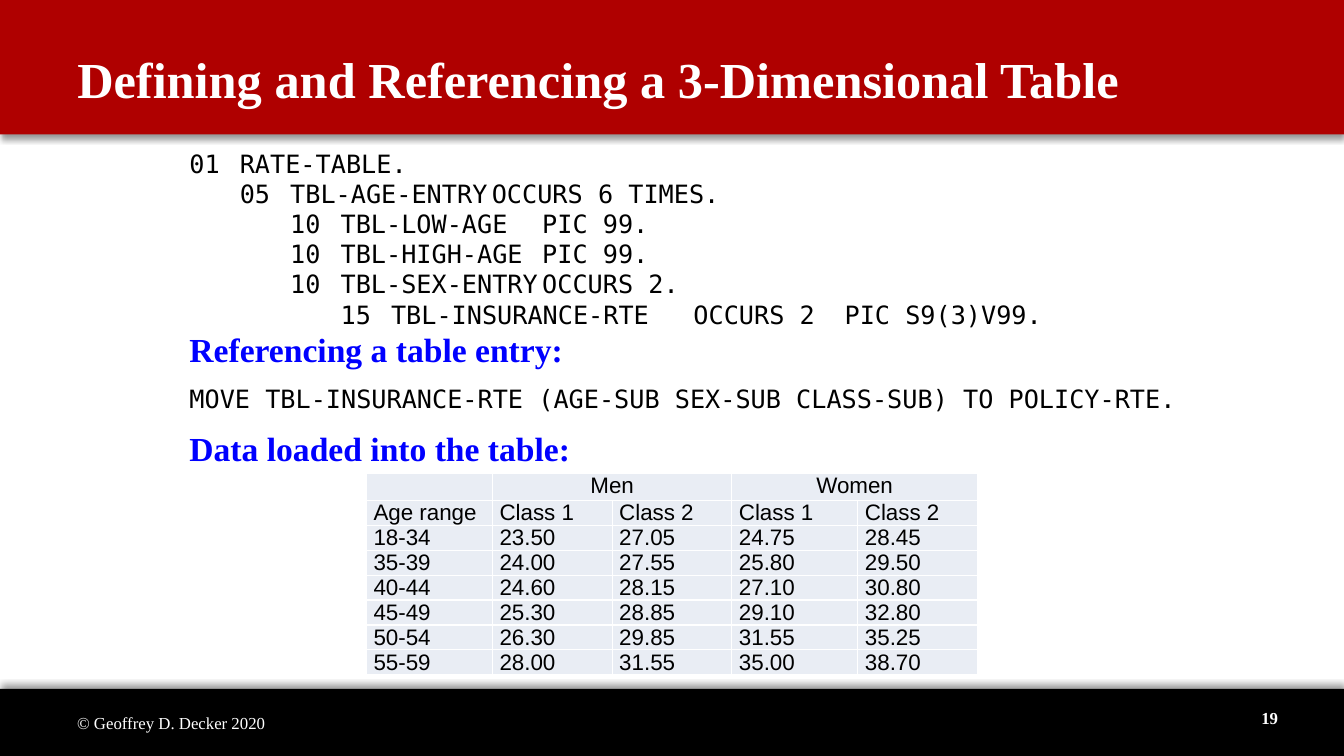
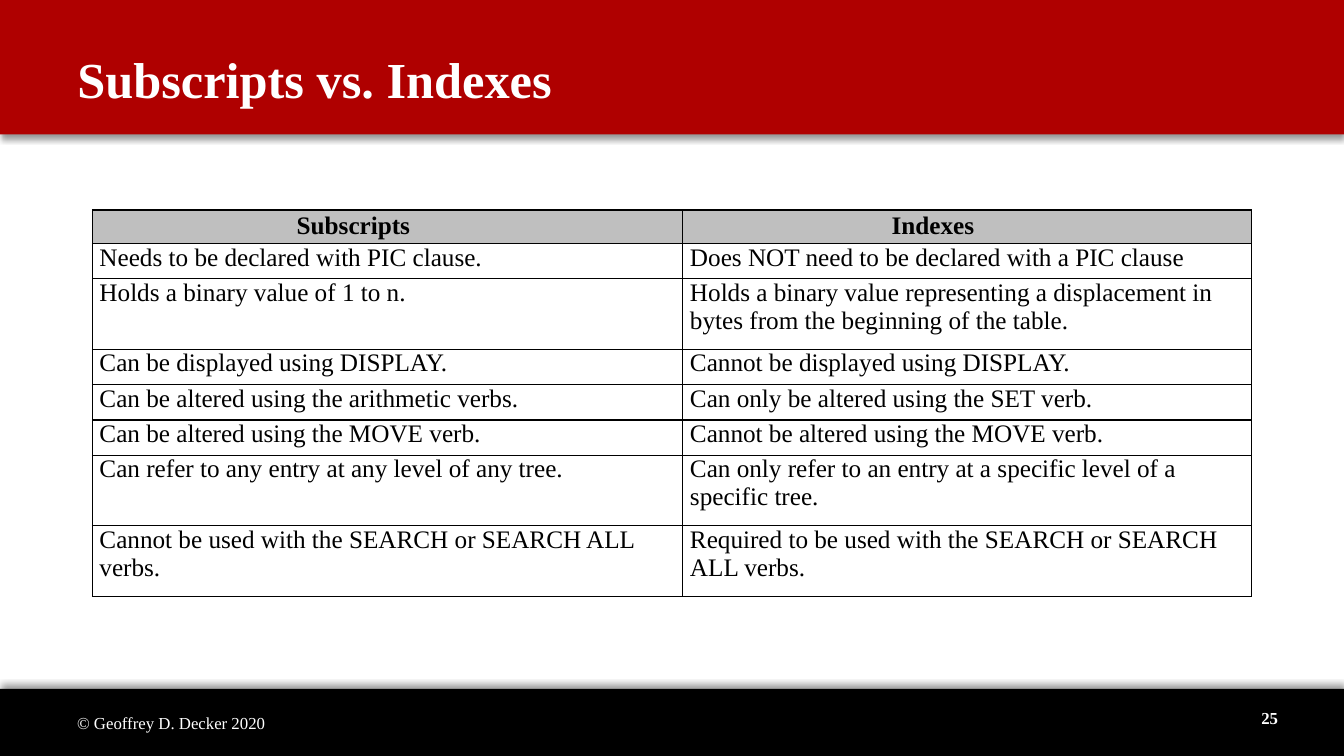
from dataclasses import dataclass

from lxml import etree
from pptx import Presentation
from pptx import util as u
from pptx.dml.color import RGBColor
from pptx.enum import shapes, text
from pptx.oxml.ns import qn

COLUMNS, ROWS = 160, 90
CELL = u.Inches(1 / 12)
TITLE_AND_BODY, TITLE_ONLY = 1, 5
LEFT, CENTER, RIGHT = text.PP_ALIGN.LEFT, text.PP_ALIGN.CENTER, text.PP_ALIGN.RIGHT


@dataclass(frozen=True)
class TextStyle:
    font: str
    size: int
    color: str
    bold: bool = False
    align: int = LEFT


@dataclass(frozen=True)
class Theme:
    red: str = "AF0000"
    black: str = "000000"
    white: str = "FFFFFF"
    pale: str = "E9EDF4"
    gray: str = "BFBFBF"
    title: TextStyle = TextStyle("Times New Roman", 36, "FFFFFF", True)
    heading: TextStyle = TextStyle("Times New Roman", 24, "0000FF", True)
    code: TextStyle = TextStyle("DejaVu Sans Mono", 18, "000000")
    footer: TextStyle = TextStyle("Times New Roman", 12, "FFFFFF")
    number: TextStyle = TextStyle("Times New Roman", 12, "FFFFFF", True, RIGHT)
    rate: TextStyle = TextStyle("Arial", 16, "000000")
    rate_group: TextStyle = TextStyle("Arial", 16, "000000", False, CENTER)
    fact: TextStyle = TextStyle("Times New Roman", 18, "000000")
    fact_header: TextStyle = TextStyle("Times New Roman", 18, "000000", True, CENTER)


THEME = Theme()


def grid(*lengths):
    return [u.Emu(round(length * CELL)) for length in lengths]


def place(shape, *box):
    shape.left, shape.top, shape.width, shape.height = grid(*box)


def format_paragraph(paragraph, style):
    paragraph.alignment = style.align
    for run in paragraph.runs:
        run.font.name = style.font
        run.font.size = u.Pt(style.size)
        run.font.bold = style.bold
        run.font.color.rgb = RGBColor.from_string(style.color)
    if not paragraph.runs:
        etree.SubElement(paragraph._p, qn("a:endParaRPr"), sz=str(style.size * 100))


def prepare_frame(frame, anchor):
    frame.word_wrap = True
    frame.auto_size = text.MSO_AUTO_SIZE.NONE
    frame.vertical_anchor = anchor


def remove_bullet(paragraph):
    properties = paragraph._p.get_or_add_pPr()
    properties.set("marL", "0")
    properties.set("indent", "0")
    etree.SubElement(properties, qn("a:buNone"))


def set_tab_stops(paragraph, style, characters):
    advance = u.Pt(style.size * 0.602)
    tab_list = etree.SubElement(paragraph._p.get_or_add_pPr(), qn("a:tabLst"))
    for position in characters:
        etree.SubElement(tab_list, qn("a:tab"), pos=str(position * advance), algn="l")


def set_borders(cell, color):
    properties = cell._tc.get_or_add_tcPr()
    for index, side in enumerate(("lnL", "lnR", "lnT", "lnB")):
        line = etree.Element(qn("a:" + side), w=str(u.Pt(1)))
        fill = etree.SubElement(line, qn("a:solidFill"))
        etree.SubElement(fill, qn("a:srgbClr"), val=color)
        properties.insert(index, line)


class Deck:
    def __init__(self, theme):
        self.theme = theme
        self.presentation = Presentation()
        self.presentation.slide_width, self.presentation.slide_height = grid(COLUMNS, ROWS)
        self.slide = None

    def start_slide(self, layout, title, number):
        layouts = self.presentation.slide_layouts
        self.slide = self.presentation.slides.add_slide(layouts[layout])
        if len(self.presentation.slides) == 1:
            self.master_band(0, 16, self.theme.red, 90)
            self.master_band(82, 8, self.theme.black, 270)
        shape = self.slide.shapes.title
        place(shape, 8, 5.1, 135, 8.5)
        shape.text_frame.text = title
        prepare_frame(shape.text_frame, text.MSO_ANCHOR.TOP)
        format_paragraph(shape.text_frame.paragraphs[0], self.theme.title)
        self.label(str(number), self.theme.number, 129.35, 83, 24, 4.8)
        self.label("© Geoffrey D. Decker 2020", self.theme.footer, 8, 83.65, 50.6, 4.8)

    def master_band(self, top, height, color, direction):
        box = grid(0, top, COLUMNS, height)
        band = self.slide.shapes.add_shape(shapes.MSO_SHAPE.RECTANGLE, *box)
        band.fill.solid()
        band.fill.fore_color.rgb = RGBColor.from_string(color)
        band.line.fill.background()
        band.shadow.inherit = False
        shadow = etree.SubElement(
            band.element.spPr.find(qn("a:effectLst")), qn("a:outerShdw"),
            blurRad=str(u.Pt(4)), dist=str(u.Pt(3)), dir=str(direction * 60000),
            algn="t", rotWithShape="0")
        shade = etree.SubElement(shadow, qn("a:srgbClr"), val=self.theme.black)
        etree.SubElement(shade, qn("a:alpha"), val="40000")
        band.element.nvSpPr.cNvPr.set("id", str(100 + top))
        self.presentation.slide_master.shapes.element.insert(2, band.element)

    def label(self, words, style, *box):
        shape = self.slide.shapes.add_textbox(*grid(*box))
        shape.text_frame.text = words
        prepare_frame(shape.text_frame, text.MSO_ANCHOR.MIDDLE)
        format_paragraph(shape.text_frame.paragraphs[0], style)

    def body(self, lines, *box):
        shape = self.slide.placeholders[1]
        place(shape, *box)
        frame = shape.text_frame
        prepare_frame(frame, text.MSO_ANCHOR.TOP)
        frame.text = "\n".join(words for words, style, gap, stops in lines)
        for paragraph, (words, style, gap, stops) in zip(frame.paragraphs, lines):
            remove_bullet(paragraph)
            paragraph.space_before = u.Pt(gap)
            if stops:
                set_tab_stops(paragraph, style, stops)
            format_paragraph(paragraph, style)

    def table(self, rows, top, widths, heights, border):
        left = (COLUMNS - sum(widths)) / 2
        box = grid(left, top, sum(widths), sum(heights))
        table = self.slide.shapes.add_table(len(rows), len(widths), *box).table
        table.first_row = table.horz_banding = False
        for column, width in zip(table.columns, grid(*widths)):
            column.width = width
        for row, height in zip(table.rows, grid(*heights)):
            row.height = height
        for row, (values, style, fill) in zip(table.rows, rows):
            for cell, value in zip(row.cells, values):
                cell.text_frame.text = value
                cell.margin_left, cell.margin_right = grid(0.85, 0.85)
                cell.margin_top = cell.margin_bottom = 0
                cell.fill.solid()
                cell.fill.fore_color.rgb = RGBColor.from_string(fill)
                set_borders(cell, border)
                format_paragraph(cell.text_frame.paragraphs[0], style)
        return table


def code_line(level, number, *fields):
    stops = [4 * step for step in range(1, level + 2)] + [40, 50]
    return "\t" * level + "\t".join((number, *fields)), THEME.code, 0, stops


def build_rate_slide(deck):
    deck.start_slide(TITLE_AND_BODY, "Defining and Referencing a 3-Dimensional Table", 19)
    deck.body([
        code_line(0, "01", "RATE-TABLE."),
        code_line(1, "05", "TBL-AGE-ENTRY", "OCCURS 6 TIMES."),
        code_line(2, "10", "TBL-LOW-AGE", "PIC 99."),
        code_line(2, "10", "TBL-HIGH-AGE", "PIC 99."),
        code_line(2, "10", "TBL-SEX-ENTRY", "OCCURS 2."),
        code_line(3, "15", "TBL-INSURANCE-RTE", "OCCURS 2", "PIC S9(3)V99."),
        ("Referencing a table entry:", THEME.heading, 0, None),
        ("MOVE TBL-INSURANCE-RTE (AGE-SUB SEX-SUB CLASS-SUB) TO POLICY-RTE.",
         THEME.code, 10, None),
        ("Data loaded into the table:", THEME.heading, 10, None),
    ], 21.35, 17, 120, 46.8)
    rates = [
        ("Age range", "Class 1", "Class 2", "Class 1", "Class 2"),
        ("18-34", "23.50", "27.05", "24.75", "28.45"),
        ("35-39", "24.00", "27.55", "25.80", "29.50"),
        ("40-44", "24.60", "28.15", "27.10", "30.80"),
        ("45-49", "25.30", "28.85", "29.10", "32.80"),
        ("50-54", "26.30", "29.85", "31.55", "35.25"),
        ("55-59", "28.00", "31.55", "35.00", "38.70"),
    ]
    rows = [(("", "Men", "", "Women", ""), THEME.rate_group, THEME.pale)]
    rows += [(values, THEME.rate, THEME.pale) for values in rates]
    table = deck.table(rows, 56.3, [15, 14.25, 14.25, 15, 14.25], [2.95] * len(rows),
                       THEME.white)
    for first in (1, 3):
        table.cell(0, first).merge(table.cell(0, first + 1))


def build_comparison_slide(deck):
    deck.start_slide(TITLE_ONLY, "Subscripts vs. Indexes", 25)
    single, double = 4.2, 8.4
    facts = [
        (single, "Needs to be declared with PIC clause.",
         "Does NOT need to be declared with a PIC clause"),
        (double, "Holds a binary value of 1 to n.",
         "Holds a binary value representing a displacement in bytes from the "
         "beginning of the table."),
        (single, "Can be displayed using DISPLAY.", "Cannot be displayed using DISPLAY."),
        (single, "Can be altered using the arithmetic verbs.",
         "Can only be altered using the SET verb."),
        (single, "Can be altered using the MOVE verb.",
         "Cannot be altered using the MOVE verb."),
        (double, "Can refer to any entry at any level of any tree.",
         "Can only refer to an entry at a specific level of a specific tree."),
        (double, "Cannot be used with the SEARCH or SEARCH ALL verbs.",
         "Required to be used with the SEARCH or SEARCH ALL verbs."),
    ]
    rows = [(("Subscripts", "Indexes"), THEME.fact_header, THEME.gray)]
    rows += [(pair, THEME.fact, THEME.white) for height, *pair in facts]
    heights = [4] + [height for height, *pair in facts]
    table = deck.table(rows, 25, [70.3, 67.7], heights, THEME.black)
    for cell in table.rows[0].cells:
        cell.margin_right = grid(9)[0]
        cell.text_frame.paragraphs[0].line_spacing = 1.07


def main():
    deck = Deck(THEME)
    build_rate_slide(deck)
    build_comparison_slide(deck)
    deck.presentation.save("out.pptx")


if __name__ == "__main__":
    main()
